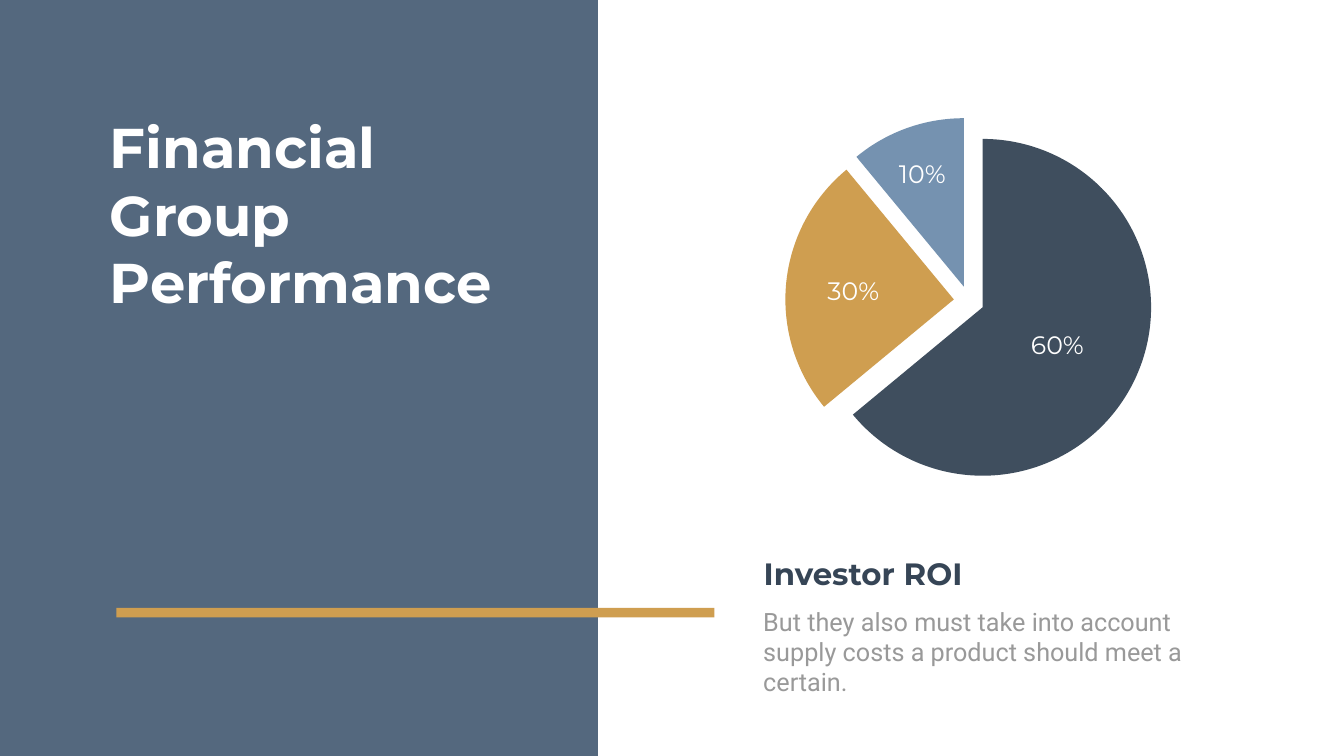
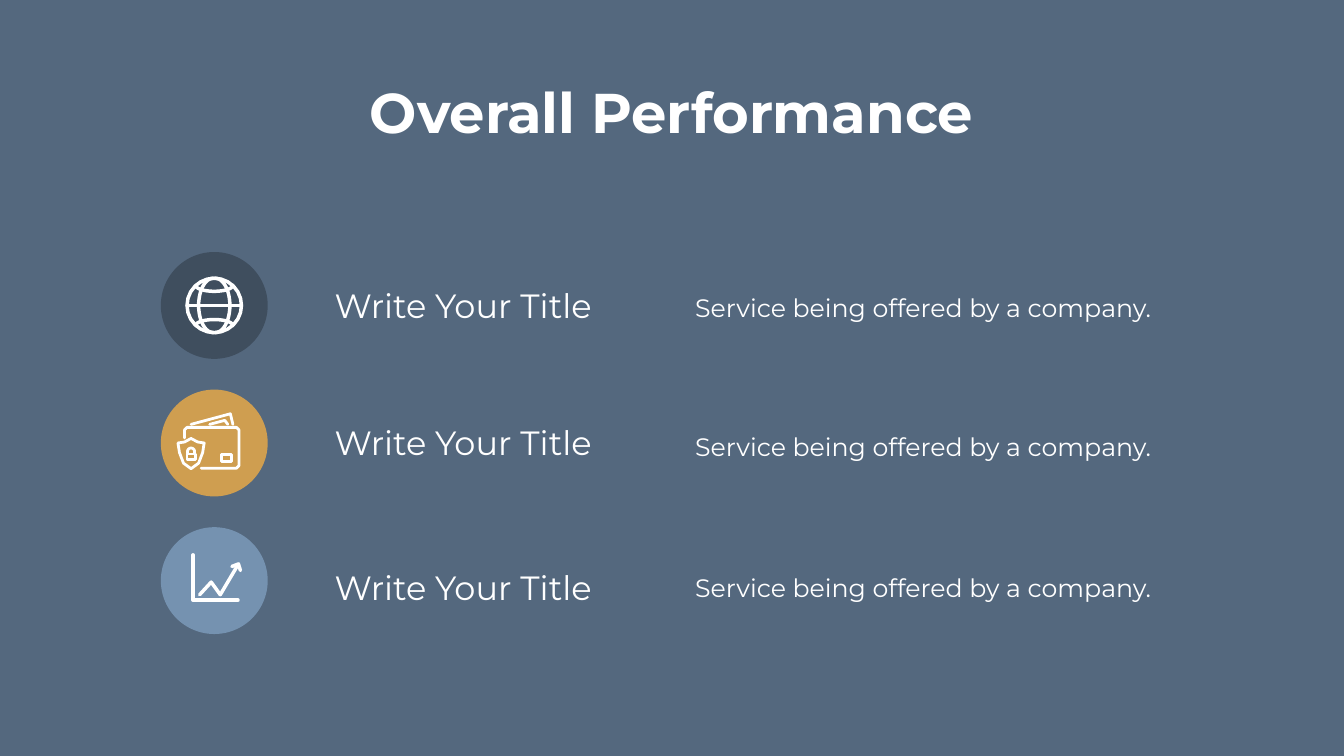
"""Build two finance slides: a pie of investor returns and a list of performance points."""
from math import cos, radians, sin

from lxml import etree
from pptx import Presentation
from pptx.chart.data import CategoryChartData
from pptx.dml.color import RGBColor
from pptx.enum.chart import XL_CHART_TYPE
from pptx.enum.shapes import MSO_SHAPE
from pptx.enum.text import MSO_AUTO_SIZE, PP_ALIGN
from pptx.oxml.ns import qn
from pptx.util import Inches, Pt

PIE = XL_CHART_TYPE.PIE
RECTANGLE, OVAL = MSO_SHAPE.RECTANGLE, MSO_SHAPE.OVAL
LEFT, CENTER = PP_ALIGN.LEFT, PP_ALIGN.CENTER
FIT_SHAPE = MSO_AUTO_SIZE.SHAPE_TO_FIT_TEXT

WIDTH, HEIGHT = 26.66, 15
PANEL_WIDTH = 11.86
HEADING_FONT, BODY_FONT, CHART_FONT = "Montserrat", "Roboto", "Calibri"
COLORS = {
    "slate": "54687E", "navy": "3F4E5E", "gold": "CF9E50", "sky": "7592B0",
    "ink": "364556", "gray": "999999", "white": "FFFFFF",
}
WIDE_INSETS = (0.24, 0.12)
PLAIN_INSETS = (0.1, 0.05)

PIE_BOX = (14.9, 2.19, 8.64, 7.56)
SLICES = [
    ("1", 64, "navy", "60%", (20.05, 6.48)),
    ("2", 25, "gold", "30%", (16, 5.42)),
    ("3", 11, "sky", "10%", (17.37, 3.1)),
]
EXPLOSION = 9

CIRCLE_LEFT, CIRCLE_TOP, CIRCLE_SIZE, ROW_STEP = 3.19, 5, 2.12, 2.73
ROWS = [
    ("navy", "globe", "Write Your Title", 5.6, "Service being offered by a company.", 5.69),
    ("gold", "wallet", "Write Your Title", 8.33, "Service being offered by a company.", 8.45),
    ("sky", "growth", "Write Your Title", 11.2, "Service being offered by a company.", 11.23),
]


def arc(center_x, center_y, radius_x, radius_y, start, end):
    """Return points along part of an ellipse, clockwise from the right."""
    angles = [radians(start + (end - start) * step / 24) for step in range(25)]
    return [(center_x + radius_x * cos(a), center_y + radius_y * sin(a)) for a in angles]


def frame(left, top, right, bottom):
    """Return the closed outline of a rectangle."""
    return [(left, top), (right, top), (right, bottom), (left, bottom), (left, top)]


SHIELD_X = -0.46
SHIELD_HALF = [(0, -0.09), (0.13, -0.02), (0.26, 0), (0.23, 0.19), (0.15, 0.4), (0, 0.51)]
SHIELD = [(SHIELD_X + x, y) for x, y in SHIELD_HALF]
SHIELD += [(SHIELD_X - x, y) for x, y in reversed(SHIELD_HALF[:-1])]

ICONS = {
    "globe": (5, [
        arc(0, 0, 0.54, 0.54, 0, 360),
        arc(0, -0.4, 0.37, 0.12, 0, 180),
        arc(0, 0.4, 0.37, 0.12, 180, 360),
        [(-0.54, 0), (0.54, 0)],
        arc(-0.02, 0, 0.29, 0.54, 90, 270),
        arc(0.02, 0, 0.29, 0.54, -90, 90),
    ]),
    "wallet": (4, [
        [(-0.59, -0.1), (-0.59, -0.26), (-0.54, -0.31), (0.44, -0.31),
         (0.49, -0.26), (0.49, 0.45), (0.44, 0.5), (-0.26, 0.5)],
        [(-0.46, -0.37), (0.32, -0.58), (0.37, -0.37)],
        [(-0.09, -0.37), (0.21, -0.45), (0.27, -0.37)],
        frame(0.15, 0.23, 0.35, 0.37),
        SHIELD,
        frame(-0.54, 0.22, -0.37, 0.33),
        [(-0.53, 0.21), *arc(SHIELD_X, 0.17, 0.07, 0.07, 180, 360), (-0.39, 0.21)],
    ]),
    "growth": (5, [
        [(-0.42, -0.51), (-0.42, 0.39), (0.47, 0.39)],
        [(-0.29, 0.28), (-0.06, 0.03), (0.12, 0.28), (0.48, -0.33)],
        [(0.35, -0.28), (0.48, -0.33), (0.52, -0.2)],
    ]),
}


def color(name):
    return RGBColor.from_string(COLORS[name])


def add_block(page, kind, place, fill):
    block = page.shapes.add_shape(kind, *map(Inches, place))
    block.shadow.inherit = False
    block.fill.solid()
    block.fill.fore_color.rgb = color(fill)
    block.line.fill.background()


def add_text(page, place, text, size, tint="white", font=HEADING_FONT, bold=False,
             align=LEFT, insets=PLAIN_INSETS, wrap=True, spacing=None):
    box = page.shapes.add_textbox(*map(Inches, place))
    text_frame = box.text_frame
    text_frame.word_wrap = wrap
    text_frame.auto_size = FIT_SHAPE
    text_frame.margin_left = text_frame.margin_right = Inches(insets[0])
    text_frame.margin_top = text_frame.margin_bottom = Inches(insets[1])
    text_frame.text = text
    para = text_frame.paragraphs[0]
    para.alignment = align
    if spacing:
        para.line_spacing = Pt(spacing)
    span = para.runs[0]
    span.font.name = font
    span.font.size = Pt(size)
    span.font.bold = bold
    span.font.color.rgb = color(tint)


def add_title(page, place, text, align=LEFT):
    add_text(page, place, text, 80, bold=True, align=align)


def add_icon(page, name, center_x, center_y):
    weight, strokes = ICONS[name]
    icon = page.shapes.add_group_shape()
    for stroke in strokes:
        points = [(Inches(center_x + x), Inches(center_y + y)) for x, y in stroke]
        builder = icon.shapes.build_freeform(*points[0])
        builder.add_line_segments(points[1:], close=stroke[0] == stroke[-1])
        outline = builder.convert_to_shape()
        outline.shadow.inherit = False
        outline.fill.background()
        outline.line.color.rgb = color("white")
        outline.line.width = Pt(weight)
        line = outline.element.xpath(".//a:ln")[0]
        line.set("cap", "rnd")
        etree.SubElement(line, qn("a:round"))


def add_pie(page):
    data = CategoryChartData()
    data.categories = [row[0] for row in SLICES]
    data.add_series("Series 1", [row[1] for row in SLICES])
    chart = page.shapes.add_chart(PIE, *map(Inches, PIE_BOX), data).chart
    chart.has_legend = False
    chart.has_title = False
    chart.font.name = CHART_FONT
    chart.font.size = Pt(10)
    chart.font.color.rgb = color("gray")
    plot = chart.plots[0]
    plot.vary_by_categories = True
    series = plot.series[0]
    explosion = etree.Element(qn("c:explosion"), val=str(EXPLOSION))
    series._element.find(qn("c:tx")).addnext(explosion)
    for index, (_, _, tint, label, corner) in enumerate(SLICES):
        slice_format = series.points[index].format
        slice_format.fill.solid()
        slice_format.fill.fore_color.rgb = color(tint)
        slice_format.line.fill.background()
        add_text(page, (*corner, 1.85, 0.62), label, 36, align=CENTER)


def build_group_performance(page):
    add_block(page, RECTANGLE, (0, 0, PANEL_WIDTH, HEIGHT), "slate")
    add_pie(page)
    add_title(page, (2.08, 2.19, 8.35, 4.14), "Financial Group Performance")
    add_block(page, RECTANGLE, (2.31, 12.06, PANEL_WIDTH, 0.19), "gold")
    add_text(page, (14.9, 11.91, 10.13, 1.45),
             "But they also must take into account supply costs a product should meet a certain.",
             36, "gray", BODY_FONT, insets=WIDE_INSETS)
    add_text(page, (15.05, 10.95, 4.77, 0.84), "Investor ROI", 44, "ink", bold=True)


def build_overall_performance(page):
    add_block(page, RECTANGLE, (0, 0, WIDTH, HEIGHT), "slate")
    add_title(page, (6.83, 1.48, 12.99, 1.45), "Overall Performance", CENTER)
    for index, (tint, icon, title, title_top, service, service_top) in enumerate(ROWS):
        top = CIRCLE_TOP + index * ROW_STEP
        add_block(page, OVAL, (CIRCLE_LEFT, top, CIRCLE_SIZE, CIRCLE_SIZE), tint)
        add_icon(page, icon, CIRCLE_LEFT + CIRCLE_SIZE / 2, top + CIRCLE_SIZE / 2)
        add_text(page, (6.54, title_top, 5.53, 0.91), title, 48, wrap=False)
        add_text(page, (13.55, service_top, 9.93, 0.84), service, 36,
                 insets=WIDE_INSETS, spacing=43)


def main():
    deck = Presentation()
    deck.slide_width, deck.slide_height = Inches(WIDTH), Inches(HEIGHT)
    for build in (build_group_performance, build_overall_performance):
        build(deck.slides.add_slide(deck.slide_layouts[6]))
    deck.save("out.pptx")


if __name__ == "__main__":
    main()
